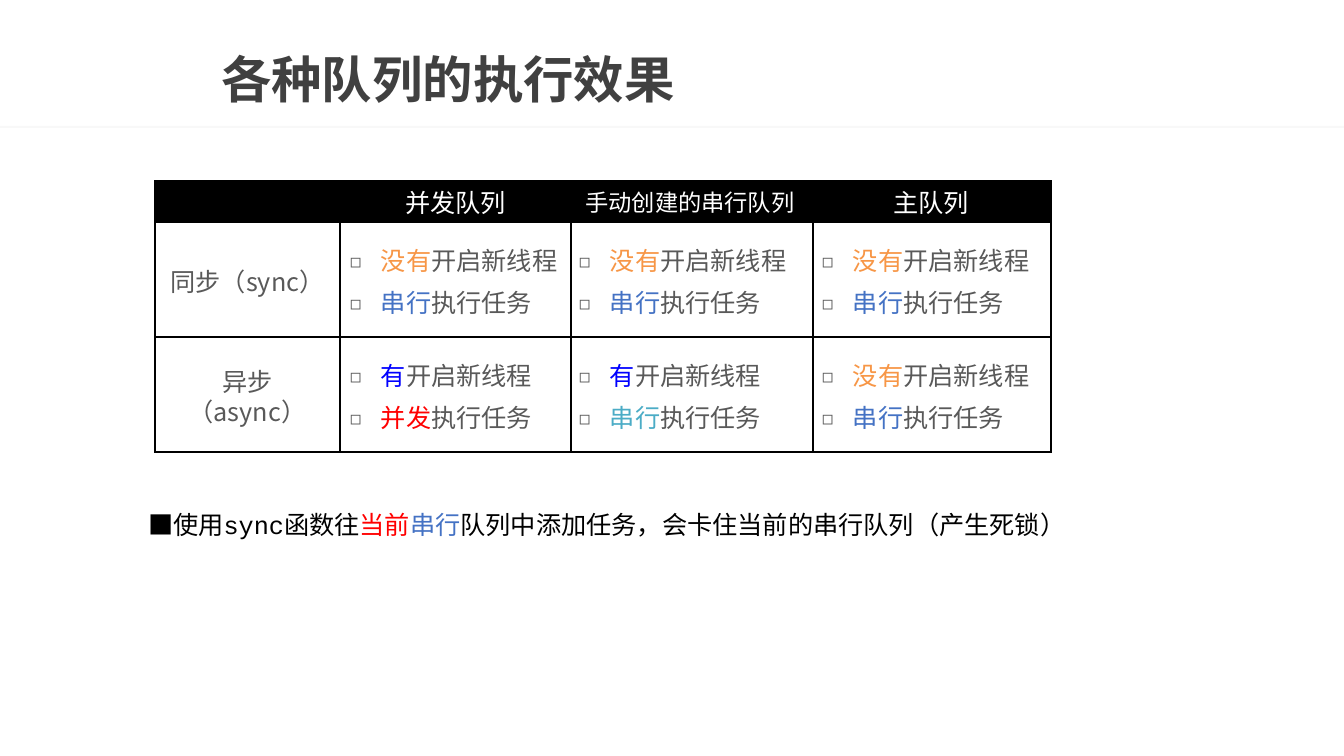
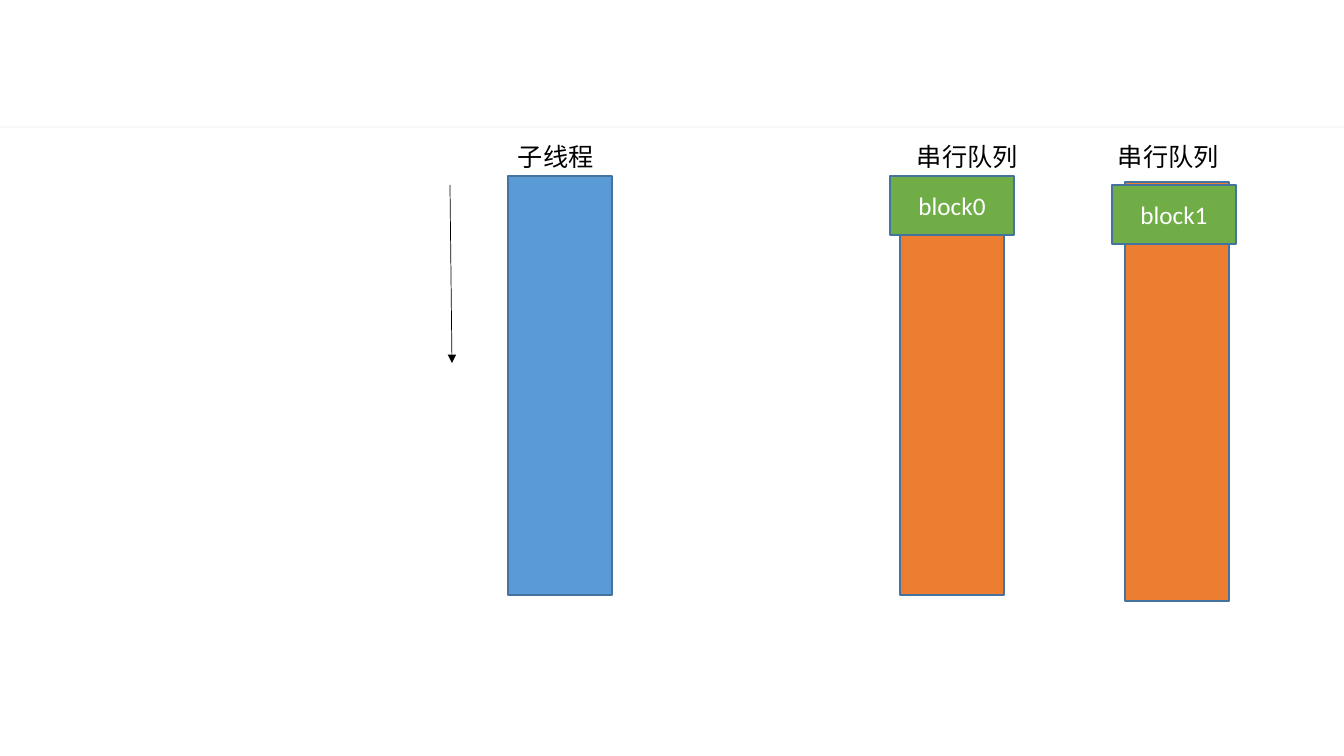
from lxml.etree import SubElement
from pptx import Presentation
from pptx.dml.color import RGBColor
from pptx.enum.shapes import MSO_CONNECTOR, MSO_SHAPE
from pptx.enum.text import MSO_ANCHOR, MSO_AUTO_SIZE, PP_ALIGN
from pptx.oxml.ns import qn
from pptx.util import Pt

# Shared look
SCALE = 914400 / 100.8
WIDE, HIGH = 1344, 756
HAN, CODE, LATIN = "Noto Sans CJK SC", "Courier New", "Calibri"
BLACK, WHITE, GRAY, DARK = "000000", "FFFFFF", "595959", "404040"
RED, BLUE, PURE, AMBER, TEAL = "FF0000", "4472C4", "0000FF", "F79646", "4BACC6"
SKY, RUST, GREEN, EDGE, PALE = "5B9BD5", "ED7D31", "70AD47", "43739E", "EAEAEA"

# Slide 1 content
TITLE = "各种队列的执行效果"
HEADS = [("并发队列", 18), ("手动创建的串行队列", 16.6), ("主队列", 18)]
NEW, RUN = ("开启新线程", GRAY), ("执行任务", GRAY)
NONE, SOME = [("没有", AMBER), NEW], [("有", PURE), NEW]
SERIAL = [("串行", BLUE), RUN]
ROWS = [
    ("同步（sync）", [[NONE, SERIAL]] * 3),
    ("异步（async）", [[SOME, [("并发", RED), RUN]],
                   [SOME, [("串行", TEAL), RUN]],
                   [NONE, SERIAL]]),
]
NOTE = [
    ("使用sync函数往", BLACK, CODE), ("当前", RED, CODE), ("串行", BLUE, HAN),
    ("队列中添加任务，会卡住当前的串行队列（产生死锁）", BLACK, CODE),
]
LEFT, TOP = 155, 181
COLS, LINES = [185, 231, 242, 238], [41, 115, 115]
TEXTS = [155, 340, 569, 812]  # text columns sit slightly left of the grid

# Slide 2 content
BARS = [(1125, 182, RUST), (508, 176, SKY), (900, 176, RUST)]
LABELS = [("子线程", 508, 97), ("串行队列", 907, 122), ("串行队列", 1108, 122)]
BLOCKS = [("block0", 890, 176), ("block1", 1112, 185)]


def px(*nums):
    return [round(n * SCALE) for n in nums]


def hue(code):
    return RGBColor.from_string(code)


def write(par, runs, size, font=HAN, bold=None):
    """Fill a paragraph with (text, colour[, font]) runs."""
    for text, color, *own in runs:
        run = par.add_run()
        run.text = text
        run.font.size, run.font.bold = Pt(size), bold
        run.font.name = own[0] if own else font
        run.font.color.rgb = hue(color)
        SubElement(run.font._element, qn("a:ea"), typeface=HAN)


def mark(par, char, indent, color=None, size=None):
    """Give a paragraph a hanging bullet."""
    props = par._p.get_or_add_pPr()
    step, = px(indent)
    props.set("marL", str(step))
    props.set("indent", str(-step))
    if color:
        SubElement(SubElement(props, qn("a:buClr")), qn("a:srgbClr"), val=color)
    if size:
        SubElement(props, qn("a:buSzPct"), val=str(size * 1000))
    SubElement(props, qn("a:buFont"), typeface=HAN)
    SubElement(props, qn("a:buChar"), char=char)


def place(shape, box):
    shape.left, shape.top, shape.width, shape.height = px(*box)


def label(slide, box, paras, size, font=HAN, align=None, wrap=True):
    """Add a text box, return its paragraphs."""
    frame = slide.shapes.add_textbox(*px(*box)).text_frame
    frame.word_wrap = wrap
    if wrap:
        frame.vertical_anchor = MSO_ANCHOR.MIDDLE
    for n, runs in enumerate(paras):
        par = frame.add_paragraph() if n else frame.paragraphs[0]
        par.alignment = align
        if wrap:
            par.space_before = Pt(8)
        write(par, runs, size, font)
    return frame.paragraphs


def block(slide, box, fill, line=None):
    shape = slide.shapes.add_shape(MSO_SHAPE.RECTANGLE, *px(*box))
    shape.shadow.inherit = False
    shape.fill.solid()
    shape.fill.fore_color.rgb = hue(fill)
    if line:
        shape.line.color.rgb, shape.line.width = hue(line), Pt(1)
    else:
        shape.line.fill.background()
    return shape


def frame_cell(cell, fill):
    """Draw the four borders, then the fill."""
    cell.margin_top = cell.margin_bottom = 0
    props = cell._tc.get_or_add_tcPr()
    for side in ("lnL", "lnR", "lnT", "lnB"):
        line = SubElement(props, qn("a:" + side), w=str(Pt(1)))
        SubElement(SubElement(line, qn("a:solidFill")), qn("a:srgbClr"), val=BLACK)
    cell.fill.solid()
    cell.fill.fore_color.rgb = hue(fill)


deck = Presentation()
deck.slide_width, deck.slide_height = px(WIDE, HIGH)
first = deck.slides.add_slide(deck.slide_layouts[1])
second = deck.slides.add_slide(deck.slide_layouts[6])

# Band under the title, kept on the master
band = block(first, (-1, 126, WIDE + 1, 2), PALE)
tint = band.element.find(".//" + qn("a:srgbClr"))
SubElement(tint, qn("a:alpha"), val="32000")
deck.slide_master.shapes.element.append(band.element)

# Title and note
title, body = first.placeholders
place(title, (211, 43, 1112, 79))
place(body, (138, 506, 975, 40))
for shape in (title, body):
    shape.text_frame.auto_size = MSO_AUTO_SIZE.NONE
title.text_frame.vertical_anchor = MSO_ANCHOR.MIDDLE
head = title.text_frame.paragraphs[0]
head.alignment, head.line_spacing = PP_ALIGN.LEFT, 0.9
write(head, [(TITLE, DARK)], 36, bold=True)
note = body.text_frame.paragraphs[0]
note.line_spacing, note.space_before = Pt(20), Pt(10)
mark(note, "■", 25)
write(note, NOTE, 18)

# Table grid
grid = first.shapes.add_table(
    len(LINES), len(COLS), *px(LEFT, TOP, sum(COLS), sum(LINES))).table
for col, wide in zip(grid.columns, px(*COLS)):
    col.width = wide
for n, (row, high) in enumerate(zip(grid.rows, px(*LINES))):
    row.height = high
    for cell in row.cells:
        frame_cell(cell, WHITE if n else BLACK)

# Table text
for (text, size), x, wide in zip(HEADS, TEXTS[1:], COLS[1:]):
    label(first, (x, TOP - 1, wide, 44), [[(text, WHITE)]], size,
          align=PP_ALIGN.CENTER)
for n, (name, cells) in enumerate(ROWS):
    y = TOP + LINES[0] + 4 + n * LINES[1]
    label(first, (LEFT, y, COLS[0], 111), [[(name, GRAY)]], 18,
          align=PP_ALIGN.CENTER)
    for x, wide, paras in zip(TEXTS[1:], COLS[1:], cells):
        for par in label(first, (x, y, wide, 111), paras, 18):
            mark(par, "◻", 31, GRAY, 75)

# Thread and queue bars
for x, y, fill in BARS:
    block(second, (x, y, 104, 419), fill, EDGE)
for text, x, wide in LABELS:
    label(second, (x, 136, wide, 40), [[(text, BLACK)]], 18, LATIN, wrap=False)

# Time arrow
arrow = second.shapes.add_connector(MSO_CONNECTOR.STRAIGHT, *px(450, 185, 452, 363))
arrow.line.color.rgb, arrow.line.width = hue(BLACK), Pt(0.5)
SubElement(arrow.line._get_or_add_ln(), qn("a:tailEnd"), type="triangle")
SubElement(arrow.element.spPr, qn("a:effectLst"))

# Queued blocks
for text, x, y in BLOCKS:
    shape = block(second, (x, y, 124, 59), GREEN, EDGE)
    shape.text_frame.vertical_anchor = MSO_ANCHOR.MIDDLE
    par = shape.text_frame.paragraphs[0]
    par.alignment = PP_ALIGN.CENTER
    write(par, [(text, WHITE)], 18, LATIN)

deck.save("out.pptx")
